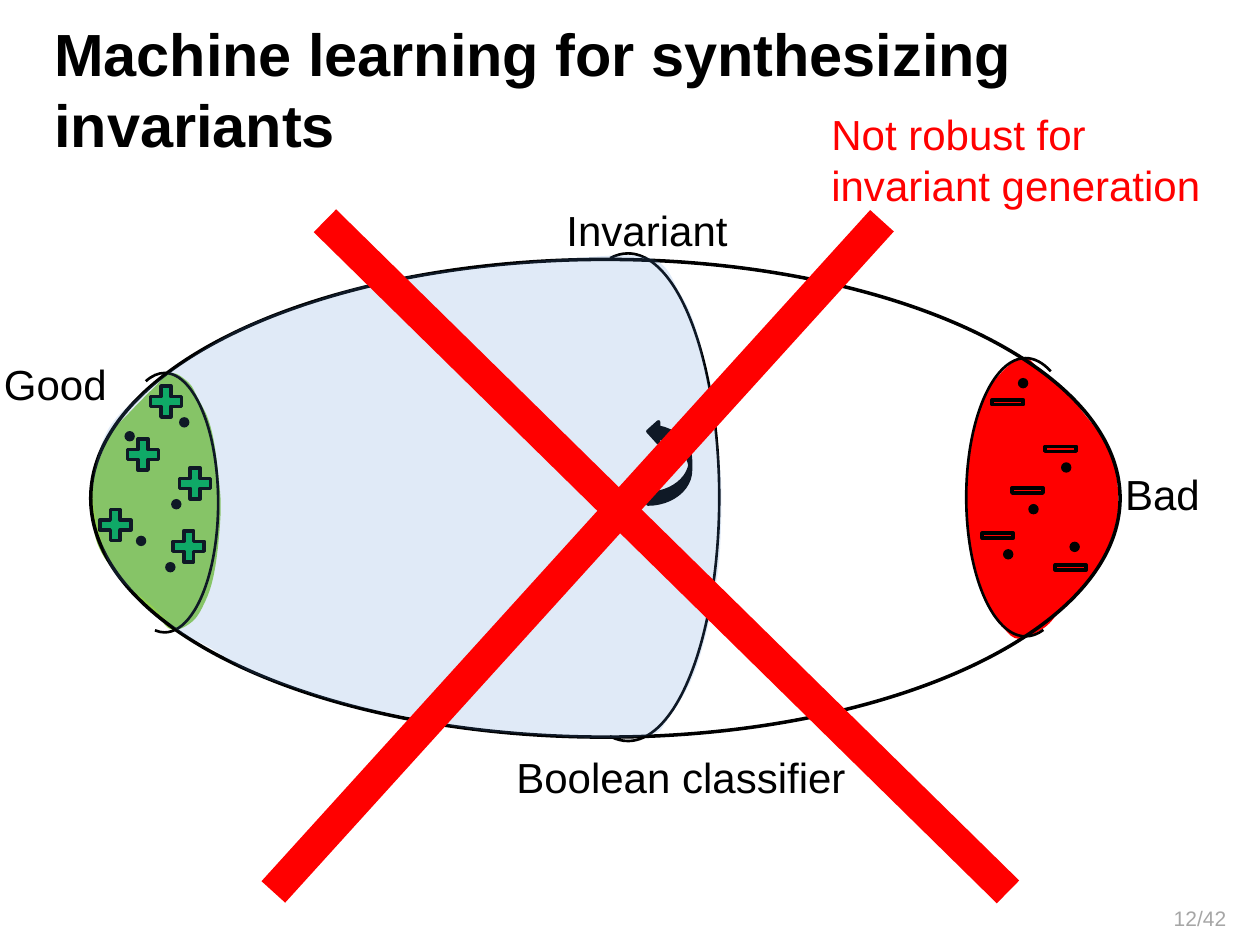
from lxml import etree
from pptx import Presentation
from pptx import util as u
from pptx.dml.color import RGBColor
from pptx.enum import shapes, text
from pptx.oxml import ns

COLORS = {"ink": "000000", "red": "FF0000", "good": "92D050", "plus": "00B050",
          "invariant": "558ED5", "number": "A6A6A6"}
KINDS = shapes.MSO_SHAPE

BAD_REGION = [
    (20.57, 7.21), (19.91, 7.87), (19.58, 8.84), (19.48, 10.13), (19.61, 11.28),
    (19.89, 12.17), (20.24, 12.67), (20.55, 12.88), (21.06, 12.65), (21.41, 12.27),
    (21.92, 11.76), (22.23, 11.28), (22.53, 10.36), (22.48, 9.45), (22.23, 8.84),
    (21.87, 8.36), (21.49, 7.9), (20.98, 7.47)]
GOOD_REGION = [
    (3.45, 7.52), (3.1, 7.82), (2.57, 8.36), (2.26, 8.71), (2.01, 9.25), (1.85, 9.75),
    (1.85, 10.29), (1.93, 10.85), (2.11, 11.25), (2.34, 11.53), (2.67, 11.96),
    (3.15, 12.4), (3.48, 12.7), (3.89, 12.52), (4.14, 12.12), (4.29, 11.68),
    (4.39, 11.07), (4.45, 10.29), (4.42, 9.73), (4.32, 8.94), (4.19, 8.43),
    (3.99, 8.03), (3.81, 7.72)]
INVARIANT_REGION = [
    (13.13, 5.21), (13.72, 5.94), (14.02, 6.6), (14.22, 7.44), (14.38, 8.36),
    (14.53, 9.6), (14.53, 10.77), (14.45, 11.68), (14.22, 12.83), (13.92, 13.74),
    (13.44, 14.53), (13.13, 14.81), (12.09, 14.88), (10.77, 14.81), (9.55, 14.71),
    (8.23, 14.45), (7.01, 14.2), (5.99, 13.89), (5.03, 13.54), (4.24, 13.06),
    (3.58, 12.7), (3.02, 12.17), (2.31, 11.56), (1.98, 10.64), (1.88, 9.73),
    (2.18, 8.66), (2.9, 7.92), (3.86, 7.21), (4.9, 6.6), (6.17, 6.12), (7.62, 5.69),
    (9.19, 5.44), (11.48, 5.21)]
DOTS = [(3.61, 8.41), (2.51, 8.69), (3.33, 11.33), (2.74, 10.8), (3.45, 10.06),
        (21.39, 9.32), (21.56, 10.92), (20.52, 7.62), (20.22, 11.07), (20.73, 10.16)]
PLUSES = [(2.92, 7.67), (1.9, 10.16), (2.46, 8.74), (3.38, 10.59), (3.51, 9.32)]
MINUSES = [(20.96, 8.84), (19.69, 10.59), (19.89, 7.9), (21.16, 11.23), (20.29, 9.68)]
ARCS = [((2.24, 7.52, 2.16, 5.23), (156.717, 56.588)),
        ((19.48, 7.22, 2.39, 5.61), (49.404, 168.794)),
        ((10.82, 5.11, 3.68, 9.83), (159.43, 56.588))]
LABELS = [(["Bad"], (22.43, 9.32, 2.03, 1.27), "ink", False),
          (["Good"], (-0.17, 7.11, 2.62, 1.27), "ink", False),
          (["Boolean classifier"], (10.16, 15.03, 7.19, 1.27), "ink", True),
          (["Not robust for", "invariant generation"], (16.51, 2.07, 8.08, 2.31), "red", False),
          (["Invariant"], (11.17, 4, 4.29, 1.27), "ink", True)]


def rgb(name):
    """Return the named colour."""
    return RGBColor.from_string(COLORS[name])


def apply_format(target, values):
    """Set every attribute in a dict of format values."""
    for name, value in values.items():
        setattr(target, name, value)


def paint(shape, fill=None, line=None):
    """Give a shape its fill and black outline, without a shadow."""
    shape.shadow.inherit = False
    if fill:
        shape.fill.solid()
        shape.fill.fore_color.rgb = rgb(fill)
    else:
        shape.fill.background()
    if line:
        shape.line.color.rgb = rgb("ink")
        shape.line.width = u.Pt(line)
    else:
        shape.line.fill.background()


def add_preset(page, kind, area, fill=None, line=None):
    """Add a painted preset shape."""
    shape = page.shapes.add_shape(kind, *map(u.Cm, area))
    paint(shape, fill, line)
    return shape


def add_marks(page, kind, places, size, fill, line=None):
    """Add one equal mark at each place."""
    for place in places:
        add_preset(page, kind, place + size, fill, line)


def round_corners(region):
    """Turn the sides of a closed outline into Bézier curves through its corners."""
    sides = list(region._element.iter(ns.qn("a:lnTo")))
    corners = [(int(side[0].get("x")), int(side[0].get("y"))) for side in sides]
    count = len(corners)
    for index, side in enumerate(sides):
        before, start, end, after = (corners[(index + shift) % count]
                                     for shift in (-2, -1, 0, 1))
        leave = [s + (e - b) / 6 for b, s, e in zip(before, start, end)]
        arrive = [e - (a - s) / 6 for s, e, a in zip(start, end, after)]
        curve = etree.Element(ns.qn("a:cubicBezTo"))
        for x, y in (leave, arrive, end):
            etree.SubElement(curve, ns.qn("a:pt"), x=str(round(x)), y=str(round(y)))
        side.getparent().replace(side, curve)


def add_region(page, points, fill, opacity=None):
    """Add a smooth filled region, optionally see-through."""
    corners = [(u.Cm(x), u.Cm(y)) for x, y in points]
    builder = page.shapes.build_freeform(*corners[0])
    builder.add_line_segments(corners[1:] + corners[:1], close=True)
    region = builder.convert_to_shape()
    round_corners(region)
    paint(region, fill)
    if opacity:
        color = region._element.spPr.find(".//" + ns.qn("a:srgbClr"))
        etree.SubElement(color, ns.qn("a:alpha"), val=str(opacity * 1000))


def write(box, lines, size, color, frame, align=text.PP_ALIGN.LEFT, bold=False):
    """Fill a text frame, one paragraph a line."""
    apply_format(box.text_frame, frame)
    box.text_frame.text = "\n".join(lines)
    for para in box.text_frame.paragraphs:
        para.alignment = align
        for span in para.runs:
            apply_format(span.font, {"name": "Arial", "size": u.Pt(size), "bold": bold})
            span.font.color.rgb = rgb(color)


def add_title(page, title):
    """Place and format the title placeholder."""
    box = page.shapes.title
    apply_format(box, {"left": u.Cm(0.84), "top": u.Cm(0.21),
                       "width": u.Cm(20.75), "height": u.Cm(2.54)})
    write(box, [title], 34, "ink", {"word_wrap": True, "auto_size": text.MSO_AUTO_SIZE.NONE,
                                    "vertical_anchor": text.MSO_ANCHOR.TOP}, bold=True)


def add_label(page, lines, area, color, wrap):
    """Add a text label that grows with its text."""
    box = page.shapes.add_textbox(*map(u.Cm, area))
    write(box, lines, 24, color, {"word_wrap": wrap,
                                  "auto_size": text.MSO_AUTO_SIZE.SHAPE_TO_FIT_TEXT})


def add_page_number(page, number):
    """Add the page number at the lower right."""
    box = page.shapes.add_textbox(*map(u.Cm, (19.05, 18, 5.92, 1.02)))
    write(box, [number], 12, "number",
          {"word_wrap": True, "vertical_anchor": text.MSO_ANCHOR.MIDDLE},
          text.PP_ALIGN.RIGHT)


def add_stroke(page, ends):
    """Add one thick red stroke of the cross."""
    stroke = page.shapes.add_connector(shapes.MSO_CONNECTOR.STRAIGHT, *map(u.Cm, ends))
    stroke.line.color.rgb = rgb("red")
    stroke.line.width = u.Pt(18.25)
    etree.SubElement(stroke._element.spPr, ns.qn("a:effectLst"))


def main():
    """Build the slide and save it."""
    deck = Presentation()
    apply_format(deck, {"slide_width": u.Cm(25.4), "slide_height": u.Cm(19.05)})
    page = deck.slides.add_slide(deck.slide_layouts[5])
    add_region(page, BAD_REGION, "red")
    add_region(page, GOOD_REGION, "good")
    add_title(page, "Machine learning for synthesizing invariants")
    add_marks(page, KINDS.OVAL, DOTS, (0.21, 0.21), "ink")
    add_marks(page, KINDS.MATH_PLUS, PLUSES, (0.85, 0.85), "plus", 2)
    add_marks(page, KINDS.MATH_MINUS, MINUSES, (0.85, 0.42), "red", 2)
    for label in LABELS:
        add_label(page, *label)
    add_preset(page, KINDS.OVAL, (1.83, 5.23, 20.75, 9.63), line=2)
    for area, angles in ARCS:
        arc = add_preset(page, KINDS.ARC, area, line=1.5)
        arc.adjustments[0], arc.adjustments[1] = angles
    arrow = add_preset(page, KINDS.CURVED_RIGHT_ARROW, (13.06, 8.48, 0.86, 1.68), "ink", 2)
    arrow.rotation = 180
    add_page_number(page, "12/42")
    add_region(page, INVARIANT_REGION, "invariant", 18)
    add_stroke(page, (5.51, 17.98, 17.78, 4.45))
    add_stroke(page, (6.55, 4.45, 20.32, 17.98))
    deck.save("out.pptx")


if __name__ == "__main__":
    main()
